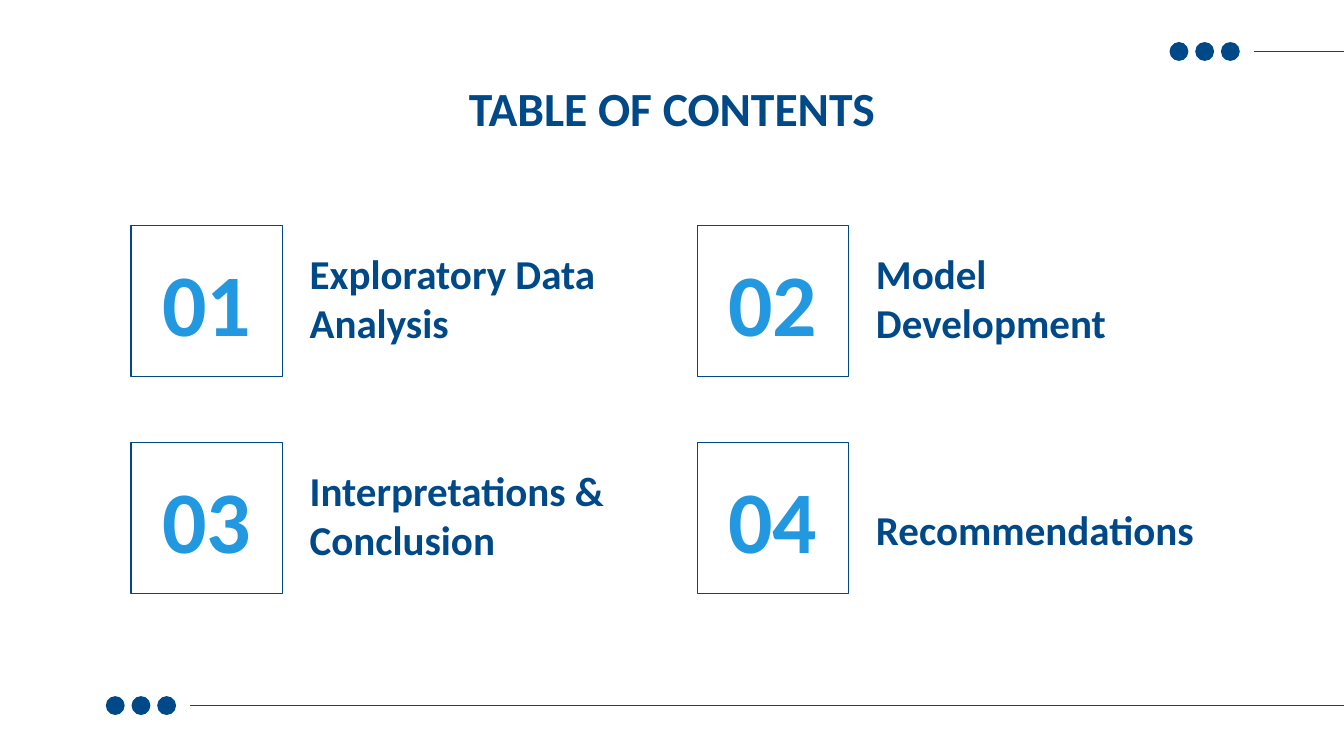
from dataclasses import dataclass

from lxml import etree
from pptx import Presentation
from pptx.dml.color import RGBColor
from pptx.enum.shapes import MSO_CONNECTOR, MSO_SHAPE
from pptx.enum.text import MSO_ANCHOR, MSO_AUTO_SIZE, PP_ALIGN
from pptx.oxml.ns import qn
from pptx.util import Pt

LEFT, CENTER = PP_ALIGN.LEFT, PP_ALIGN.CENTER
TOP, MIDDLE = MSO_ANCHOR.TOP, MSO_ANCHOR.MIDDLE
FIXED = MSO_AUTO_SIZE.NONE
RECT, OVAL = MSO_SHAPE.RECTANGLE, MSO_SHAPE.OVAL
STRAIGHT = MSO_CONNECTOR.STRAIGHT


@dataclass(frozen=True)
class Theme:
    navy: RGBColor = RGBColor(0x00, 0x49, 0x89)
    sky: RGBColor = RGBColor(0x22, 0x98, 0xE0)
    font: str = "Calibri"
    title: float = 34
    label: float = 29.3
    number: float = 62.7
    line: float = 0.75
    inset: float = 9.6


THEME = Theme()
WIDTH, HEIGHT = 960, 540
TOPICS = [
    ("01", "Exploratory Data Analysis", 251, 7),
    ("02", "Model Development", 251, 7),
    ("03", "Interpretations & Conclusion", 251, 7),
    ("04", "Recommendations", 306, 35),
]


def place(shape, left, top, width, height):
    shape.left, shape.top = Pt(left), Pt(top)
    shape.width, shape.height = Pt(width), Pt(height)


def write(shape, text, size, color=THEME.navy, align=LEFT, anchor=TOP):
    frame = shape.text_frame
    frame.text = text
    frame.word_wrap = True
    frame.auto_size = FIXED
    frame.vertical_anchor = anchor
    frame.margin_left = frame.margin_right = Pt(THEME.inset)
    frame.margin_top = frame.margin_bottom = Pt(THEME.inset)
    para = frame.paragraphs[0]
    para.alignment = align
    para.line_spacing = 1.0
    para.space_before = para.space_after = Pt(0)
    props = para._p.get_or_add_pPr()
    props.set("marL", "0")
    props.set("indent", "0")
    etree.SubElement(props, qn("a:buNone"))
    font = para.runs[0].font
    font.name, font.size, font.bold = THEME.font, Pt(size), True
    font.color.rgb = color


def add_trail(slide, left, mid):
    dot, pitch, gap = 13.5, 18.36, 60
    line = slide.shapes.add_connector(
        STRAIGHT, Pt(left + gap), Pt(mid), Pt(WIDTH), Pt(mid))
    line.line.color.rgb = THEME.navy
    line.line.width = Pt(THEME.line)
    etree.SubElement(line._element.spPr, qn("a:effectLst"))
    for i in range(3):
        oval = slide.shapes.add_shape(
            OVAL, Pt(left + i * pitch), Pt(mid - dot / 2), Pt(dot), Pt(dot))
        oval.shadow.inherit = False
        oval.fill.solid()
        oval.fill.fore_color.rgb = THEME.navy
        oval.line.fill.background()


def add_topic(slide, holder, left, top, topic):
    number, text, width, drop = topic
    side, gap = 108, 10
    tile = slide.shapes.add_shape(RECT, Pt(left), Pt(top), Pt(side), Pt(side))
    tile.shadow.inherit = False
    tile.fill.background()
    tile.line.color.rgb = THEME.navy
    tile.line.width = Pt(THEME.line)
    write(tile, number, THEME.number, color=THEME.sky, align=CENTER, anchor=MIDDLE)
    place(holder, left + side + gap, top + drop, width, side - 2 * drop)
    write(holder, text, THEME.label)


def add_topics(slide, left, top):
    across, down = 404.5, 155
    holders = [p for p in slide.placeholders if p.placeholder_format.idx > 0]
    for i, (holder, topic) in enumerate(zip(holders, TOPICS)):
        row, col = divmod(i, 2)
        add_topic(slide, holder, left + col * across, top + row * down, topic)


def add_title(slide, left, top, width, height):
    title = slide.shapes.title
    place(title, left, top, width, height)
    write(title, "TABLE OF CONTENTS", THEME.title, align=CENTER, anchor=MIDDLE)


def main():
    deck = Presentation()
    deck.slide_width, deck.slide_height = Pt(WIDTH), Pt(HEIGHT)
    slide = deck.slides.add_slide(deck.slide_layouts.get_by_name("Comparison"))
    add_trail(slide, 75.6, 504)
    add_trail(slide, 835.4, 36.8)
    add_title(slide, 75.6, 47, 808.8, 60)
    add_topics(slide, 93.6, 161)
    deck.save("out.pptx")


if __name__ == "__main__":
    main()
